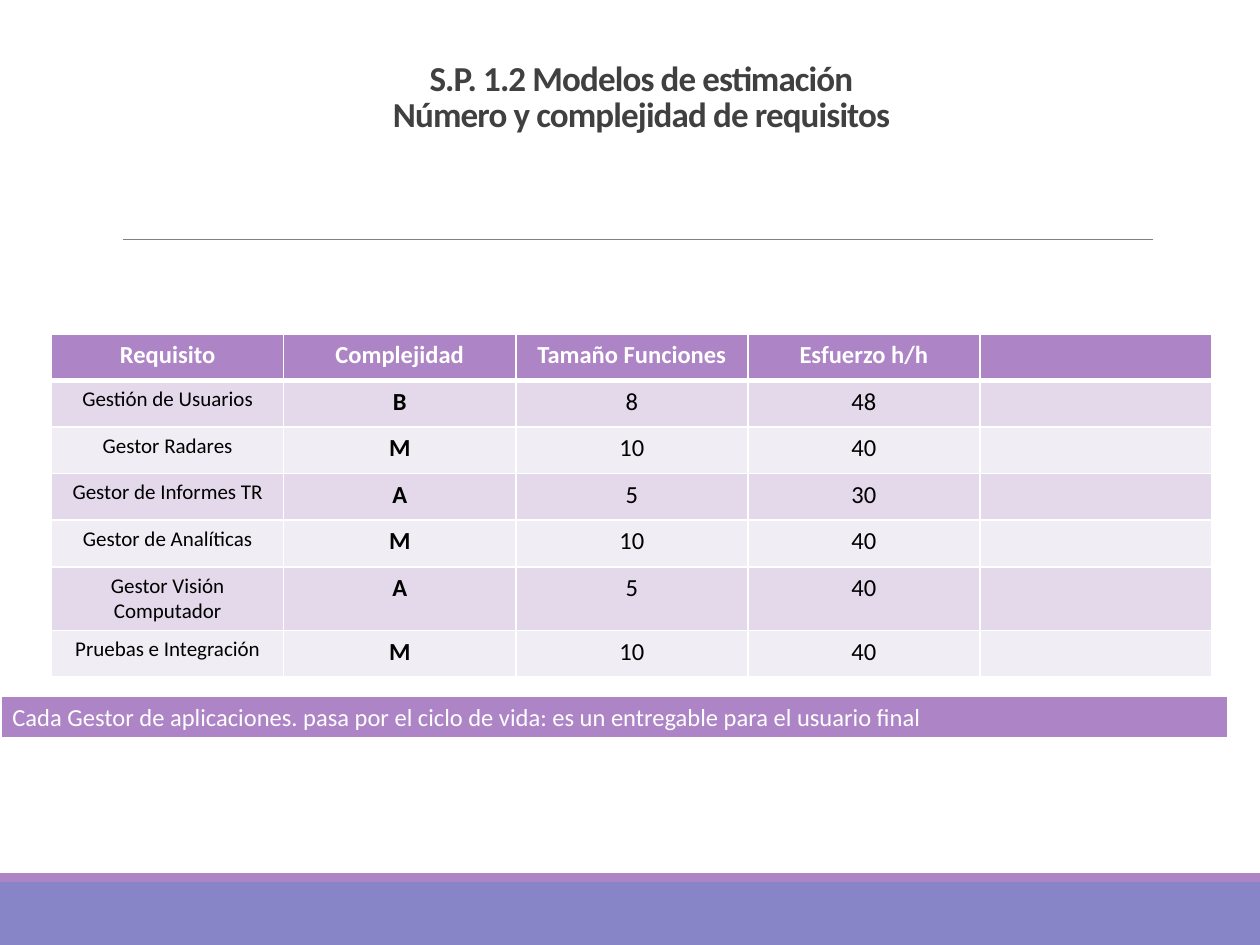
from dataclasses import dataclass

from lxml import etree
from pptx import Presentation
from pptx import util as u
from pptx.dml.color import RGBColor
from pptx.enum import shapes, text
from pptx.oxml import ns

COLORS = {
    "purple": "AD84C6", "blue": "8784C7", "white": "FFFFFF", "black": "000000",
    "title": "404040", "rule": "808080", "odd": "E3D9EA", "even": "F1EDF5",
}
FONT = "Calibri"
WIDTH, HEIGHT = 10, 7.5
COLUMN_WIDTH, ROW_HEIGHT, TALL_ROW = 1.842, 0.37, 0.45


@dataclass
class Band:
    left: float
    top: float
    width: float
    height: float
    fill: str


@dataclass
class Requirement:
    name: str
    complexity: str
    size: int
    effort: int
    height: float = ROW_HEIGHT


BANDS = [
    Band(0, 7, WIDTH, 0.5, "blue"),
    Band(0, 6.93, WIDTH, 0.07, "purple"),
]
NOTE = Band(0, 5.52, 9.75, 0.34, "purple")
HEADERS = ["Requisito", "Complejidad", "Tamaño Funciones", "Esfuerzo h/h", ""]
REQUIREMENTS = [
    Requirement("Gestión de Usuarios", "B", 8, 48),
    Requirement("Gestor Radares", "M", 10, 40),
    Requirement("Gestor de Informes TR", "A", 5, 30),
    Requirement("Gestor de Analíticas", "M", 10, 40),
    Requirement("Gestor Visión Computador", "A", 5, 40, TALL_ROW),
    Requirement("Pruebas e Integración", "M", 10, 40),
]


def rgb(name: str) -> RGBColor:
    return RGBColor.from_string(COLORS[name])


def format_text(para, size: float, color: str, bold: bool = False) -> None:
    values = {"name": FONT, "size": u.Pt(size), "bold": bold}
    for span in para.runs:
        for key, value in values.items():
            setattr(span.font, key, value)
        span.font.color.rgb = rgb(color)


def add_band(page, band: Band):
    box = page.shapes.add_shape(
        shapes.MSO_SHAPE.RECTANGLE,
        *(u.Inches(n) for n in (band.left, band.top, band.width, band.height)))
    box.shadow.inherit = False
    box.fill.solid()
    box.fill.fore_color.rgb = rgb(band.fill)
    box.line.fill.background()
    return box


def add_borders(cell, bottom: float) -> None:
    properties = cell._tc.get_or_add_tcPr()
    for side, points in {"L": 1, "R": 1, "T": 1, "B": bottom}.items():
        line = etree.SubElement(properties, ns.qn(f"a:ln{side}"), w=str(u.Pt(points)))
        fill = etree.SubElement(line, ns.qn("a:solidFill"))
        etree.SubElement(fill, ns.qn("a:srgbClr"), val=COLORS["white"])


def fill_cell(cell, words: str, fill: str, size: float, color: str,
              bold: bool, bottom: float) -> None:
    add_borders(cell, bottom)
    cell.fill.solid()
    cell.fill.fore_color.rgb = rgb(fill)
    para = cell.text_frame.paragraphs[0]
    para.alignment = text.PP_ALIGN.CENTER
    if words:
        para.add_run().text = words
        format_text(para, size, color, bold)
    else:
        # An empty cell keeps the row height of its neighbours
        etree.SubElement(para._p, ns.qn("a:endParaRPr"), sz=str(size * 100))


def add_requirements(page) -> None:
    heights = [ROW_HEIGHT] + [item.height for item in REQUIREMENTS]
    table = page.shapes.add_table(
        len(heights), len(HEADERS), u.Inches(0.41), u.Inches(2.65),
        u.Inches(COLUMN_WIDTH * len(HEADERS)), u.Inches(sum(heights))).table
    for column in table.columns:
        column.width = u.Inches(COLUMN_WIDTH)
    for row, height in zip(table.rows, heights):
        row.height = u.Inches(height)
    for cell, words in zip(table.rows[0].cells, HEADERS):
        fill_cell(cell, words, "purple", 14, "white", True, 3)
    for number, item in enumerate(REQUIREMENTS, 1):
        values = [item.name, item.complexity, str(item.size), str(item.effort), ""]
        for index, words in enumerate(values):
            fill_cell(table.cell(number, index), words, "odd" if number % 2 else "even",
                      12 if index == 0 else 14, "black", index == 1, 1)


deck = Presentation()
deck.slide_width, deck.slide_height = u.Inches(WIDTH), u.Inches(HEIGHT)
page = deck.slides.add_slide(deck.slide_layouts[5])

# Footer bands and rule
for band in BANDS:
    add_band(page, band)
rule = page.shapes.add_connector(
    shapes.MSO_CONNECTOR.STRAIGHT,
    u.Inches(0.98), u.Inches(1.9), u.Inches(9.15), u.Inches(1.9))
rule.line.color.rgb = rgb("rule")
rule.line.width = u.Pt(0.5)
etree.SubElement(rule._element.spPr, ns.qn("a:effectLst"))

# Title
title = page.shapes.title
for key, value in {"left": 0.84, "top": 0.51, "width": 8.5, "height": 0.61}.items():
    setattr(title, key, u.Inches(value))
frame = title.text_frame
frame.text = "S.P. 1.2 Modelos de estimación\vNúmero y complejidad de requisitos"
frame.auto_size = text.MSO_AUTO_SIZE.NONE
frame.vertical_anchor = text.MSO_ANCHOR.BOTTOM
para = frame.paragraphs[0]
para.alignment = text.PP_ALIGN.CENTER
para.line_spacing = 0.85
format_text(para, 20, "title", True)
for span in para.runs:
    span.font._element.set("spc", "-50")

# Table of requirements
add_requirements(page)

# Closing note
note = add_band(page, NOTE)
note.line.color.rgb = rgb("white")
note.line.width = u.Pt(2)
frame = note.text_frame
frame.word_wrap = True
frame.auto_size = text.MSO_AUTO_SIZE.SHAPE_TO_FIT_TEXT
para = frame.paragraphs[0]
para.alignment = text.PP_ALIGN.LEFT
para.add_run().text = ("Cada Gestor de aplicaciones. pasa por el ciclo de vida: "
                       "es un entregable para el usuario final")
format_text(para, 14, "white")

deck.save("out.pptx")
